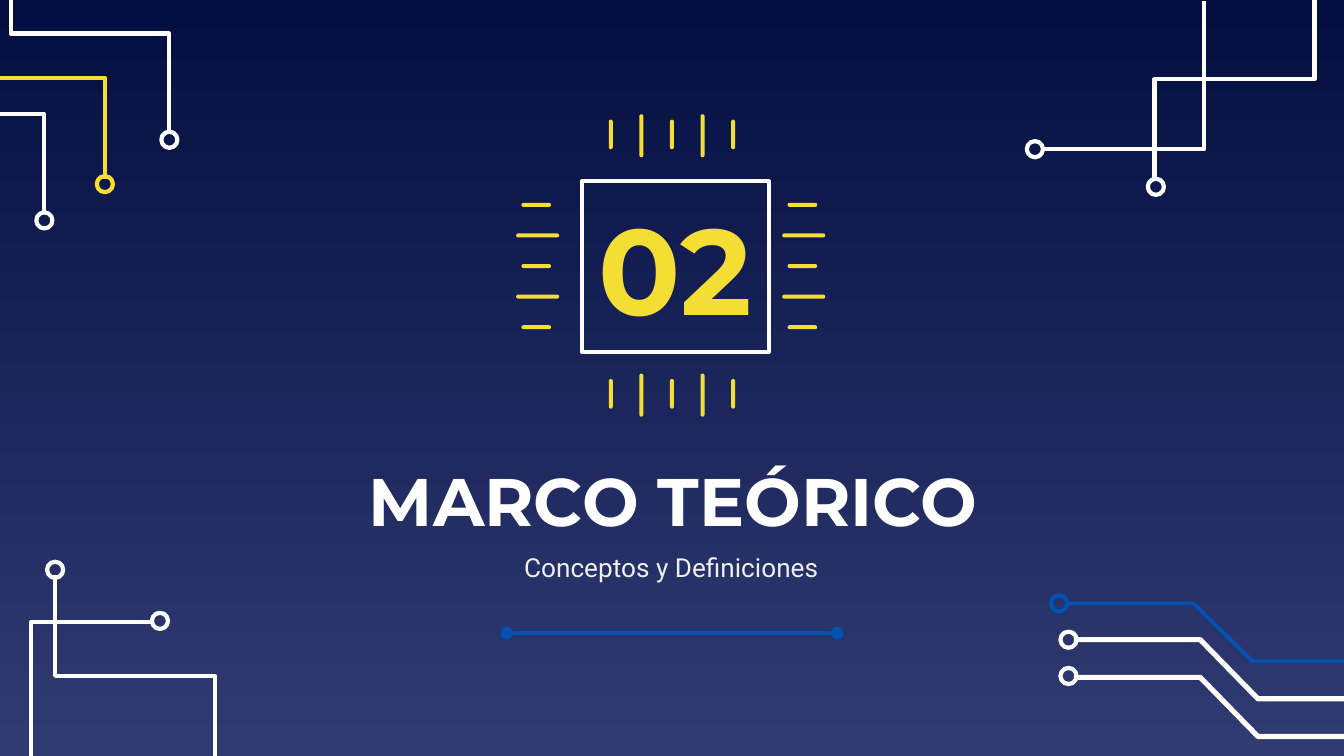
import lxml.etree
import pptx
import pptx.dml.color
import pptx.enum.shapes
import pptx.enum.text
import pptx.oxml.ns
import pptx.util

Inches = pptx.util.Inches
Pt = pptx.util.Pt
SHAPES = pptx.enum.shapes.MSO_SHAPE

COLORS = {
    "night": "040E41",
    "dusk": "303B72",
    "white": "FFFFFF",
    "pale": "EFEFEF",
    "yellow": "F5DE34",
    "blue": "0152B1",
}
WIDTH = 10
HEIGHT = WIDTH * 9 / 16
RING_SIZE = 0.12
TICK_WIDTH = 0.03

# Circuit traces: colour, line width, ring centre, points of the path
TRACES = [
    # Lower right
    ("blue", 2, (7.88, 4.49), [(7.95, 4.49), (8.88, 4.49), (9.32, 4.92), (WIDTH, 4.92)]),
    ("white", 2.75, (7.95, 4.76), [(7.99, 4.76), (8.93, 4.76), (9.36, 5.2), (WIDTH, 5.2)]),
    ("white", 2.75, (7.95, 5.03), [(7.99, 5.04), (8.93, 5.04), (9.36, 5.48), (WIDTH, 5.48)]),
    # Lower left
    ("white", 2.25, (0.41, 4.24), [(0.41, 4.28), (0.41, 5.03), (1.6, 5.03), (1.6, HEIGHT)]),
    ("white", 2.25, (1.19, 4.62), [(1.13, 4.63), (0.23, 4.63), (0.23, HEIGHT)]),
    # Upper right
    ("white", 2.25, (7.7, 1.11), [(7.75, 1.11), (8.96, 1.11), (8.96, 0.01)]),
    ("white", 2.25, (8.6, 1.39), [(8.59, 1.33), (8.59, 0.59), (9.78, 0.59), (9.78, 0)]),
    # Upper left
    ("white", 2.25, (0.33, 1.64), [(0.33, 1.59), (0.33, 0.85), (0, 0.85)]),
    ("yellow", 2.25, (0.78, 1.37), [(0.78, 1.33), (0.78, 0.58), (0, 0.58)]),
    ("white", 2.25, (1.26, 1.04), [(1.26, 1), (1.26, 0.25), (0.08, 0.25), (0.08, 0)]),
]


def rgb(name):
    return pptx.dml.color.RGBColor.from_string(COLORS[name])


def style_outline(shape, color, width=2.25):
    shape.shadow.inherit = False
    shape.fill.background()
    shape.line.color.rgb = rgb(color)
    shape.line.width = Pt(width)


def paint_background(slide):
    fill = slide.background.fill
    fill.gradient()
    fill.gradient_angle = 270
    for stop, position, color in zip(fill.gradient_stops, (0, 1), ("night", "dusk")):
        stop.position = position
        stop.color.rgb = rgb(color)


def add_trace(slide, color, width, ring_center, points):
    corners = [(Inches(x), Inches(y)) for x, y in points]
    builder = slide.shapes.build_freeform(*corners[0])
    builder.add_line_segments(corners[1:], close=False)
    style_outline(builder.convert_to_shape(), color, width)

    x, y = ring_center
    ring = slide.shapes.add_shape(
        SHAPES.OVAL, Inches(x - RING_SIZE / 2), Inches(y - RING_SIZE / 2),
        Inches(RING_SIZE), Inches(RING_SIZE))
    style_outline(ring, color)


def add_tick(slide, x, y, width, height):
    """Add a round-ended pin centred on x, y."""
    tick = slide.shapes.add_shape(
        SHAPES.ROUNDED_RECTANGLE, Inches(x - width / 2), Inches(y - height / 2),
        Inches(width), Inches(height))
    tick.adjustments[0] = 0.5
    tick.shadow.inherit = False
    tick.fill.solid()
    tick.fill.fore_color.rgb = rgb("yellow")
    tick.line.fill.background()


def add_chip_pins(slide):
    """Add five pins, short and long in turn, on each side of the chip."""
    pitch = 0.91 / 4
    for i in range(5):
        is_long = i % 2 == 1
        length = 0.32 if is_long else 0.22
        shift = 0.01 if is_long else 0
        offset = (i - 2) * pitch
        for x in (3.99, 5.97):
            add_tick(slide, x + shift, 1.98 + offset, length, TICK_WIDTH)
        for y in (1, 2.93):
            add_tick(slide, 5 + offset, y + shift, TICK_WIDTH, length)


def place(shape, left, top, width, height):
    shape.left, shape.top = Inches(left), Inches(top)
    shape.width, shape.height = Inches(width), Inches(height)


def write_centered(shape, text, font, size, color, bold=False):
    frame = shape.text_frame
    frame.word_wrap = True
    frame.auto_size = pptx.enum.text.MSO_AUTO_SIZE.NONE
    frame.vertical_anchor = pptx.enum.text.MSO_ANCHOR.MIDDLE
    frame.margin_left = frame.margin_right = Inches(0.1)
    frame.margin_top = frame.margin_bottom = Inches(0.1)
    paragraph = frame.paragraphs[0]
    paragraph.alignment = pptx.enum.text.PP_ALIGN.CENTER
    paragraph.space_before = Pt(0)
    run = paragraph.add_run()
    run.text = text
    run.font.name = font
    run.font.size = Pt(size)
    run.font.bold = bold
    run.font.color.rgb = rgb(color)


def add_divider(slide):
    divider = slide.shapes.add_connector(
        pptx.enum.shapes.MSO_CONNECTOR.STRAIGHT,
        Inches(3.77), Inches(4.71), Inches(6.23), Inches(4.71))
    divider.line.color.rgb = rgb("blue")
    divider.line.width = Pt(2.25)
    qn = pptx.oxml.ns.qn
    outline = divider.line._get_or_add_ln()
    for end in ("a:headEnd", "a:tailEnd"):
        lxml.etree.SubElement(outline, qn(end), type="oval")
    lxml.etree.SubElement(divider._element.spPr, qn("a:effectLst"))


def main():
    deck = pptx.Presentation()
    deck.slide_width, deck.slide_height = Inches(WIDTH), Inches(HEIGHT)
    slide = deck.slides.add_slide(deck.slide_layouts[0])
    paint_background(slide)

    # Circuit decoration in the corners
    for trace in TRACES:
        add_trace(slide, *trace)

    # Section title and subtitle
    title = slide.shapes.title
    place(title, 2.59, 3.38, 4.84, 0.67)
    write_centered(title, "MARCO TEÓRICO", "Montserrat", 36, "white", bold=True)
    subtitle = slide.placeholders[1]
    place(subtitle, 2.74, 3.99, 4.51, 0.46)
    write_centered(subtitle, "Conceptos y Definiciones", "Roboto", 14, "pale")

    # Chip with the section number
    chip = slide.shapes.add_shape(
        SHAPES.RECTANGLE, Inches(4.33), Inches(1.35), Inches(1.39), Inches(1.27))
    style_outline(chip, "white")
    write_centered(chip, "02", "Montserrat", 65, "yellow", bold=True)
    add_chip_pins(slide)

    add_divider(slide)
    deck.save("out.pptx")


if __name__ == "__main__":
    main()
